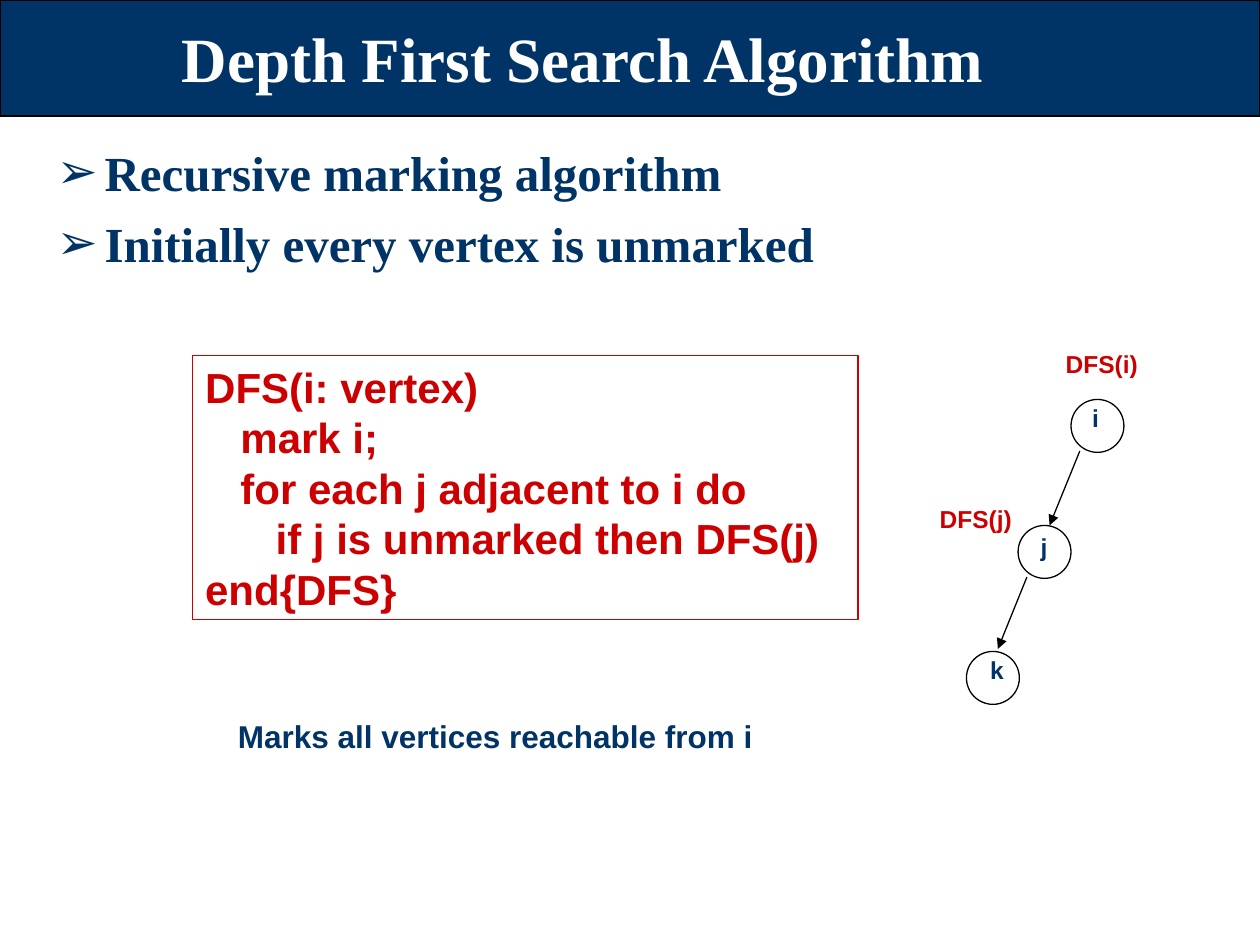
from typing import NamedTuple

from lxml import etree
from pptx import Presentation
from pptx.dml.color import RGBColor
from pptx.enum.shapes import MSO_CONNECTOR, MSO_SHAPE
from pptx.enum.text import MSO_ANCHOR, MSO_AUTO_SIZE, PP_ALIGN
from pptx.oxml.ns import qn
from pptx.util import Inches, Pt

RECTANGLE, OVAL = MSO_SHAPE.RECTANGLE, MSO_SHAPE.OVAL
STRAIGHT = MSO_CONNECTOR.STRAIGHT
TOP, MIDDLE = MSO_ANCHOR.TOP, MSO_ANCHOR.MIDDLE
LEFT, CENTER = PP_ALIGN.LEFT, PP_ALIGN.CENTER
NO_AUTOFIT = MSO_AUTO_SIZE.NONE

NAVY, RED, BLACK, WHITE = "003366", "CC0000", "000000", "FFFFFF"
SERIF, SANS = "Times New Roman", "Arial"
NODE_SIZE = 0.42
CODE_INDENT = 0.28


class Label(NamedTuple):
    text: str
    left: float
    top: float
    width: float
    height: float
    size: int
    color: str


class Edge(NamedTuple):
    start: tuple[float, float]
    end: tuple[float, float]


BULLETS = ["Recursive marking algorithm", "Initially every vertex is unmarked"]
CODE = [
    (0, "DFS(i: vertex)"),
    (1, "mark i;"),
    (1, "for each j adjacent to i do"),
    (2, "if j is unmarked then DFS(j)"),
    (0, "end{DFS}"),
]
NODES = [(8.5, 3.17), (8.08, 4.17), (7.67, 5.17)]
EDGES = [Edge((8.57, 3.58), (8.33, 4.17)), Edge((8.15, 4.58), (7.92, 5.15))]
LABELS = [
    Label("Marks all vertices reachable from i", 1.79, 5.64, 4.28, 0.4, 18, NAVY),
    Label("i", 8.57, 3.15, 0.25, 0.34, 14, NAVY),
    Label("j", 8.16, 4.17, 0.25, 0.34, 14, NAVY),
    Label("k", 7.76, 5.15, 0.31, 0.34, 14, NAVY),
    Label("DFS(i)", 8.36, 2.72, 0.77, 0.34, 14, RED),
    Label("DFS(j)", 7.36, 3.95, 0.77, 0.34, 14, RED),
]


def rgb(color: str) -> RGBColor:
    return RGBColor.from_string(color)


def place(shape, left: float, top: float, width: float, height: float) -> None:
    shape.left, shape.top = Inches(left), Inches(top)
    shape.width, shape.height = Inches(width), Inches(height)


def write(frame, lines: list[str], size: int, font: str, color: str, align=LEFT) -> None:
    """Fill a text frame with one bold paragraph per line."""
    frame.auto_size = NO_AUTOFIT
    frame.text = "\n".join(lines)
    for para in frame.paragraphs:
        para.alignment = align
        for span in para.runs:
            span.font.size, span.font.name, span.font.bold = Pt(size), font, True
            span.font.color.rgb = rgb(color)


def add_outline(page, preset, left: float, top: float, width: float, height: float,
                line: str, fill: str | None = None):
    shape = page.shapes.add_shape(
        preset, Inches(left), Inches(top), Inches(width), Inches(height))
    shape.shadow.inherit = False
    if fill:
        shape.fill.solid()
        shape.fill.fore_color.rgb = rgb(fill)
    else:
        shape.fill.background()
    shape.line.color.rgb = rgb(line)
    shape.line.width = Pt(0.75)
    return shape


def add_header(page) -> None:
    band = add_outline(page, RECTANGLE, 0, 0, 10, 0.92, BLACK, NAVY)
    title = page.shapes.title
    title._element.addprevious(band._element)  # the band lies behind the title
    place(title, 0.25, 0.08, 8.75, 0.75)
    write(title.text_frame, ["Depth First Search Algorithm"], 36, SERIF, WHITE, CENTER)
    title.text_frame.vertical_anchor = MIDDLE


def add_bullets(page) -> None:
    body = page.placeholders[1]
    place(body, 0.35, 1.08, 9.4, 5.74)
    write(body.text_frame, BULLETS, 28, SERIF, NAVY)
    body.text_frame.vertical_anchor = TOP
    for para in body.text_frame.paragraphs:
        para.space_before = Pt(7)
        properties = para._p.get_or_add_pPr()
        properties.set("marL", str(Inches(0.38)))
        properties.set("indent", str(-Inches(0.38)))
        bullet_color = etree.SubElement(properties, qn("a:buClr"))
        etree.SubElement(bullet_color, qn("a:srgbClr"), val=NAVY)
        etree.SubElement(properties, qn("a:buChar"), char="➢")


def add_code(page) -> None:
    box = add_outline(page, RECTANGLE, 1.53, 2.82, 5.28, 2.1, RED)
    frame = box.text_frame
    write(frame, [text for _, text in CODE], 24, SANS, RED)
    frame.word_wrap = True
    frame.vertical_anchor = TOP
    for para, (depth, _) in zip(frame.paragraphs, CODE):
        para._p.get_or_add_pPr().set("marL", str(Inches(depth * CODE_INDENT)))


def add_label(page, label: Label) -> None:
    box = page.shapes.add_textbox(Inches(label.left), Inches(label.top),
                                  Inches(label.width), Inches(label.height))
    write(box.text_frame, [label.text], label.size, SANS, label.color)
    box.text_frame.word_wrap = False


def add_arrow(page, edge: Edge) -> None:
    arrow = page.shapes.add_connector(
        STRAIGHT, *(Inches(value) for value in edge.start + edge.end))
    arrow.line.color.rgb = rgb(BLACK)
    arrow.line.width = Pt(0.75)
    etree.SubElement(arrow.line._get_or_add_ln(), qn("a:tailEnd"), type="triangle")
    etree.SubElement(arrow._element.spPr, qn("a:effectLst"))


def main() -> None:
    deck = Presentation()
    deck.slide_width, deck.slide_height = Inches(10), Inches(7.5)
    page = deck.slides.add_slide(deck.slide_layouts[1])
    add_header(page)
    add_bullets(page)
    add_code(page)
    for left, top in NODES:
        add_outline(page, OVAL, left, top, NODE_SIZE, NODE_SIZE, BLACK)
    for edge in EDGES:
        add_arrow(page, edge)
    for label in LABELS:
        add_label(page, label)
    deck.save("out.pptx")


if __name__ == "__main__":
    main()
